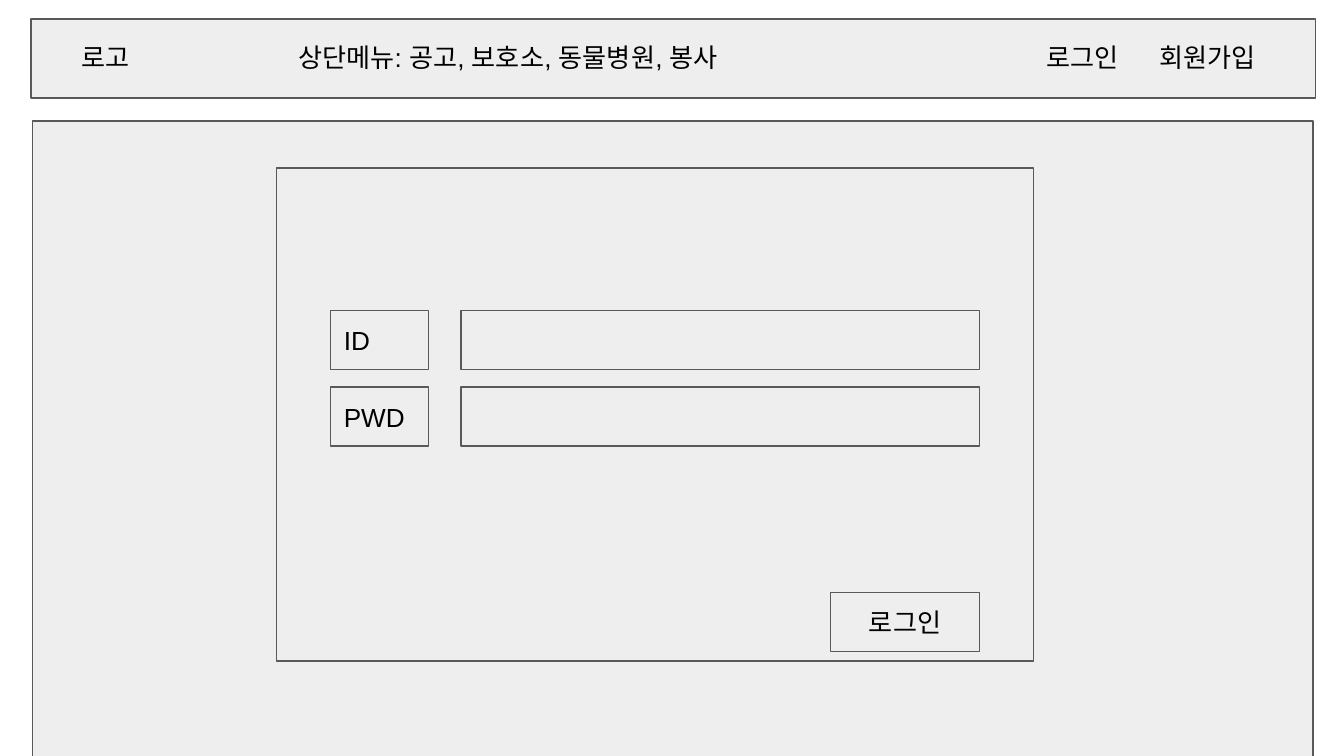
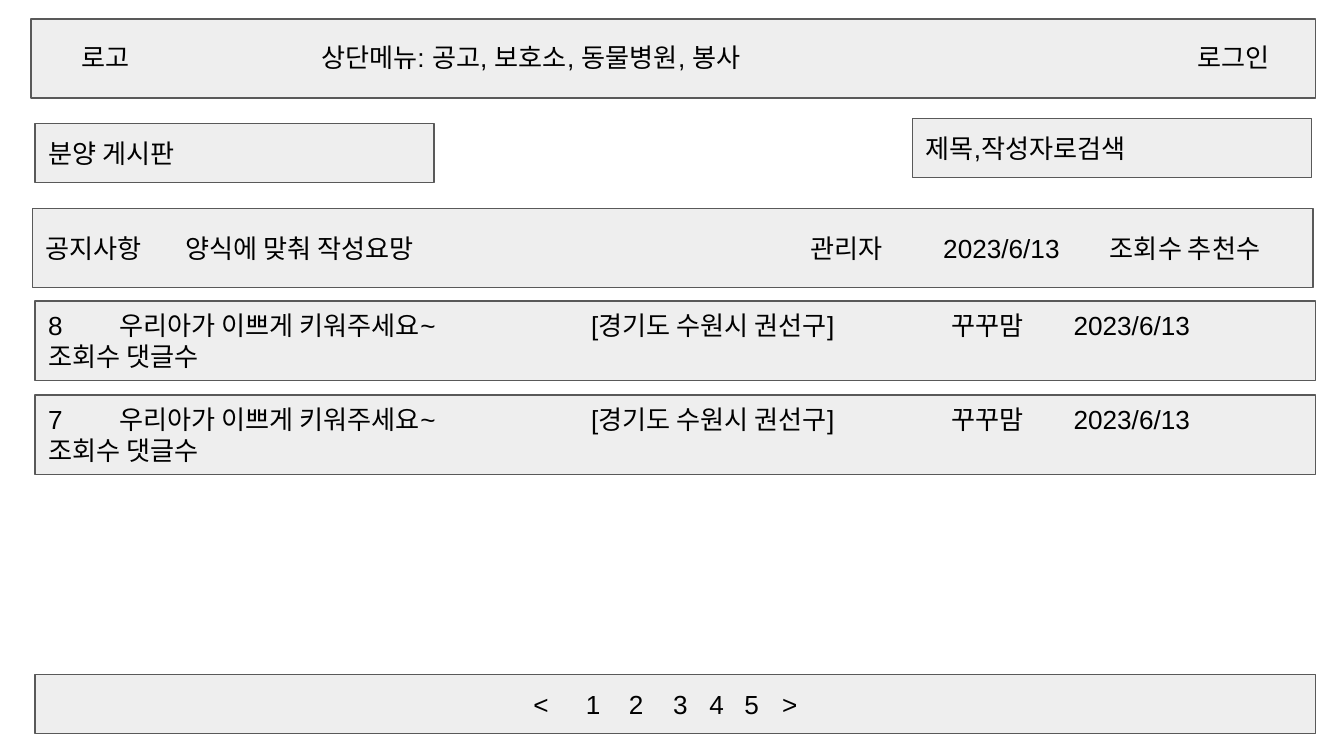
from lxml.etree import SubElement
from pptx import Presentation
from pptx.dml.color import RGBColor
from pptx.enum.shapes import MSO_SHAPE
from pptx.enum.text import MSO_ANCHOR, MSO_AUTO_SIZE, PP_ALIGN
from pptx.oxml.ns import qn
from pptx.util import Inches, Pt

PANEL = RGBColor(0xEE, 0xEE, 0xEE)
BORDER = RGBColor(0x59, 0x59, 0x59)
INK = RGBColor(0, 0, 0)
FONT, SIZE = "Arial", Pt(14)

LEFT, WIDTH = 0.26, 9.53
LINE_H, BAND_H = 0.44, 0.59
LOGO = "로고"
MENU = "상단메뉴: 공고, 보호소, 동물병원, 봉사"

# Header links: text, left, width
LOGIN_LINKS = [("로그인", 7.69, 0.83), ("회원가입", 8.53, 1.11)]
BOARD_LINKS = [("로그인", 8.81, 0.83)]

FIELDS = ["ID", "PWD"]
FIELD_TOP, FIELD_STEP = 2.31, 0.57

# Board bars: text, left, top, width
BOARD_BOXES = [("분양 게시판", LEFT, 0.92, 2.97),
               ("제목,작성자로검색", 6.79, 0.88, 2.97)]
NOTICE = ["공지사항", "양식에 맞춰 작성요망", "관리자", "2023/6/13", "조회수 추천수"]
NOTICE_TABS = [1.04, 5.69, 6.68, 7.92]
POSTS = [
    ["8", "우리아가 이쁘게 키워주세요~", "[경기도 수원시 권선구]", "꾸꾸맘", "2023/6/13"],
    ["7", "우리아가 이쁘게 키워주세요~", "[경기도 수원시 권선구]", "꾸꾸맘", "2023/6/13"],
]
POST_COUNTS = "조회수 댓글수"
POST_TABS = [0.53, 4.04, 6.72, 7.63]
POST_TOP, POST_STEP = 2.24, 0.7
PAGES = ["<", "1", "2", "3", "4", "5", ">"]
PAGE_TABS = [3.29, 3.68, 4.0, 4.33, 4.6, 4.86, 5.14]


def write(shape, text, tabs=(), align=PP_ALIGN.LEFT):
    """Fill a shape with one paragraph; tabs are stops in inches."""
    tf = shape.text_frame
    tf.word_wrap = True
    tf.margin_left = tf.margin_right = tf.margin_top = tf.margin_bottom = Inches(0.1)
    p = tf.paragraphs[0]
    p.text = text
    p.alignment = align
    if tabs:
        stops = SubElement(p._p.get_or_add_pPr(), qn("a:tabLst"))
        for pos in tabs:
            SubElement(stops, qn("a:tab"), pos=str(Inches(pos)), algn="l")
    p.font.name, p.font.size = FONT, SIZE
    p.font.color.rgb = INK


def add_box(s, left, top, width, height, text="", **style):
    sp = s.shapes.add_shape(MSO_SHAPE.RECTANGLE, *map(Inches, (left, top, width, height)))
    sp.shadow.inherit = False
    sp.fill.solid()
    sp.fill.fore_color.rgb = PANEL
    sp.line.color.rgb = BORDER
    sp.line.width = Pt(0.75)
    if text:
        write(sp, text, **style)
        sp.text_frame.vertical_anchor = MSO_ANCHOR.MIDDLE


def add_label(s, text, left, top, width, **style):
    tb = s.shapes.add_textbox(*map(Inches, (left, top, width, LINE_H)))
    write(tb, text, **style)
    tb.text_frame.auto_size = MSO_AUTO_SIZE.SHAPE_TO_FIT_TEXT


def add_page(prs, menu_left, links):
    """Add a blank slide with the shared header band."""
    s = prs.slides.add_slide(prs.slide_layouts[6])
    add_box(s, 0.23, 0.14, 9.56, BAND_H)
    for text, left, width in [(LOGO, 0.51, 0.83), (MENU, menu_left, 5.91), *links]:
        add_label(s, text, left, 0.21, width)
    return s


def build_login(prs):
    s = add_page(prs, 2.12, LOGIN_LINKS)
    add_box(s, 0.24, 0.9, WIDTH, 4.73)
    add_box(s, 2.06, 1.25, 5.63, 3.67)
    for i, field in enumerate(FIELDS):
        top = FIELD_TOP + i * FIELD_STEP
        add_box(s, 2.46, top, 0.73, LINE_H, field)
        add_box(s, 3.43, top, 3.86, LINE_H)
    add_box(s, 6.18, 4.41, 1.11, LINE_H, "로그인", align=PP_ALIGN.CENTER)


def build_board(prs):
    s = add_page(prs, 2.29, BOARD_LINKS)
    for text, left, top, width in BOARD_BOXES:
        add_box(s, left, top, width, LINE_H, text)
    add_box(s, 0.24, 1.55, WIDTH, BAND_H, "\t".join(NOTICE), tabs=NOTICE_TABS)
    for i, post in enumerate(POSTS):
        add_box(s, LEFT, POST_TOP + i * POST_STEP, WIDTH, BAND_H,
                "\t".join(post) + "\v" + POST_COUNTS, tabs=POST_TABS)
    add_box(s, LEFT, 5.02, WIDTH, LINE_H)
    add_label(s, "\t" + "\t".join(PAGES), 0.58, 5.02, 7.41, tabs=PAGE_TABS)


def main():
    prs = Presentation()
    prs.slide_width = Inches(10)
    prs.slide_height = prs.slide_width * 9 // 16
    build_login(prs)
    build_board(prs)
    prs.save("out.pptx")


if __name__ == "__main__":
    main()
